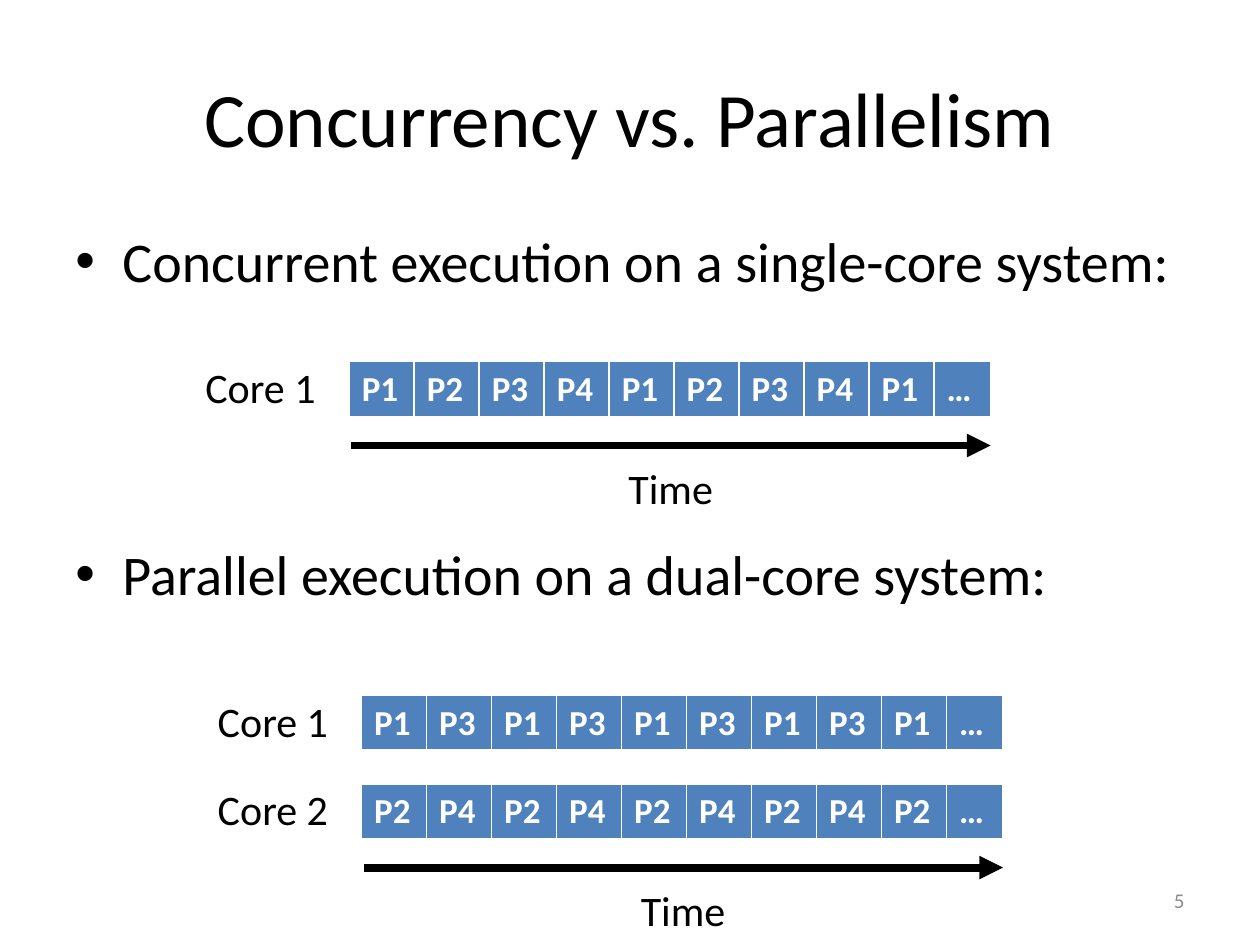
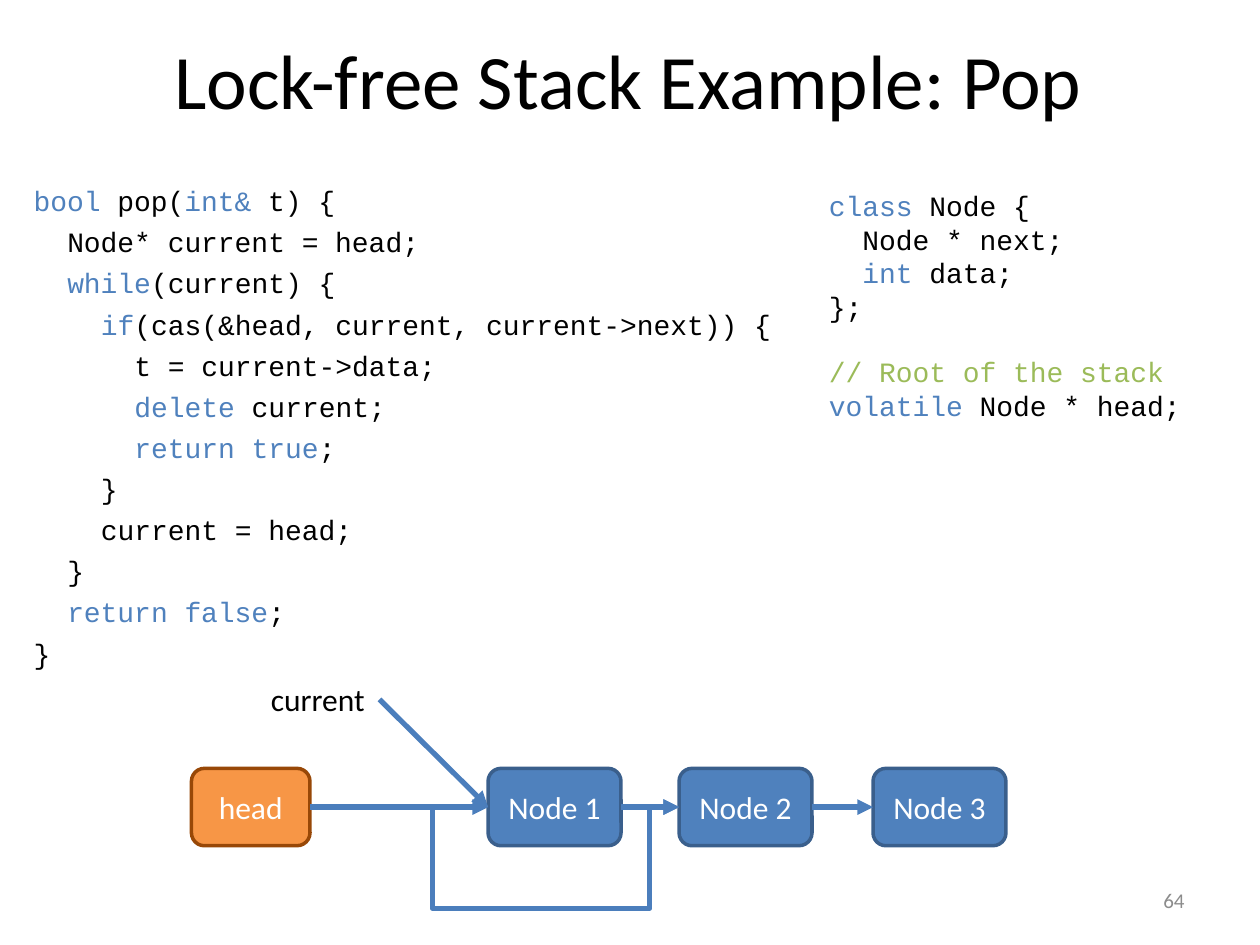
"""Build two slides on concurrency: core timelines and a lock-free stack pop."""
from dataclasses import dataclass

from lxml import etree
from pptx import Presentation
from pptx import util as u
from pptx.dml.color import RGBColor
from pptx.enum import shapes, text
from pptx.oxml.ns import qn


@dataclass(frozen=True)
class Theme:
    sans: str = "Calibri"
    mono: str = "Courier New"
    black: str = "000000"
    white: str = "FFFFFF"
    grey: str = "8C8C8C"
    blue: str = "4F81BD"
    blue_edge: str = "3A5F8C"
    blue_line: str = "4B7EBC"
    orange: str = "F79646"
    orange_edge: str = "984807"
    green: str = "9BBB59"
    title: float = 44
    bullet: float = 32
    label: float = 24
    cell: float = 20
    node: float = 18
    code: float = 16
    footer: float = 12


T = Theme()
LEFT, CENTER, RIGHT = text.PP_ALIGN.LEFT, text.PP_ALIGN.CENTER, text.PP_ALIGN.RIGHT
TOP, MIDDLE = text.MSO_ANCHOR.TOP, text.MSO_ANCHOR.MIDDLE
STRAIGHT, ELBOW = shapes.MSO_CONNECTOR.STRAIGHT, shapes.MSO_CONNECTOR.ELBOW

TIMELINE_SLIDE = dict(title="Concurrency vs. Parallelism", title_at=(1.27, 0.76), number="5")
BULLETS = [
    "Concurrent execution on a single-core system:",
    "Parallel execution on a dual-core system:",
]
TIMELINES = [
    dict(left=7.04, top=7.29, cores=[("Core 1", "P1 P2 P3 P4 P1 P2 P3 P4 P1 …")]),
    dict(left=7.29, top=14.02, cores=[("Core 1", "P1 P3 P1 P3 P1 P3 P1 P3 P1 …"),
                                      ("Core 2", "P2 P4 P2 P4 P2 P4 P2 P4 P2 …")]),
]
SLOT_WIDTH, LAST_SLOT_WIDTH, SLOT_HEIGHT, CORE_PITCH = 1.31, 1.14, 1.04, 1.78

STACK_SLIDE = dict(title="Lock-free Stack Example: Pop", title_at=(1.24, 0), number="64")
POP_CODE = """`bool` pop(`int&` t) {
  Node* current = head;
  `while`(current) {
    `if`(cas(&head, current, current->next)) {
      t = current->data;
      `delete` current;
      `return true`;
    }
    current = head;
  }
  `return false`;
}""".split("\n")
NODE_CODE = [
    "`class` Node {",
    "  Node * next;",
    "  `int `data;",
    "};",
    "// Root of the stack",
    "`volatile` Node * head;",
]
NODES = [
    ("head", 3.86, 2.39, T.orange, T.orange_edge),
    ("Node 1", 9.84, 2.68, T.blue, T.blue_edge),
    ("Node 2", 13.69, 2.68, T.blue, T.blue_edge),
    ("Node 3", 17.6, 2.68, T.blue, T.blue_edge),
]
NODE_TOP, NODE_HEIGHT = 15.49, 1.56
BYPASS_JOINT = (11.18, 18.31)


def cm(*lengths):
    return [u.Cm(length) for length in lengths]


def rgb(colour):
    return RGBColor.from_string(colour)


def write(frame, lines, size, colour=T.black, font=T.sans, bold=False, align=LEFT,
          anchor=TOP, gap=0, breaks=None, bullet=None):
    """Fill a frame; backticks mark keywords and leading spaces become indents."""
    frame.vertical_anchor = anchor
    for number, line in enumerate(lines):
        para = frame.paragraphs[0] if number == 0 else frame.add_paragraph()
        para.alignment = align
        para.space_before = u.Pt((breaks or {}).get(number, gap if number else 0))
        body = line.lstrip()
        props = para._p.get_or_add_pPr()
        if bullet:
            props.set("marL", str(u.Cm(0.95)))
            props.set("indent", str(u.Cm(-0.95)))
            etree.SubElement(props, qn("a:buFont")).set("typeface", "Arial")
            etree.SubElement(props, qn("a:buChar")).set("char", bullet)
        elif body != line:
            props.set("marL", str(u.Pt((len(line) - len(body)) * size * 0.6)))
            props.set("indent", "0")
        for part, words in enumerate(body.split("`")):
            if not words:
                continue
            run = para.add_run()
            run.text = words
            run.font.name, run.font.size, run.font.bold = font, u.Pt(size), bold
            tint = T.blue if part % 2 else T.green if body.startswith("//") else colour
            run.font.color.rgb = rgb(tint)


def add_text(slide, box, lines, wrap=True, **fmt):
    area = slide.shapes.add_textbox(*cm(*box))
    area.text_frame.word_wrap = wrap
    write(area.text_frame, lines, **fmt)
    return area


def add_link(slide, start=(0, 0), end=(0, 0), kind=STRAIGHT, colour=T.blue_line,
             width=3, arrow=True, joins=None, bend=None):
    link = slide.shapes.add_connector(kind, *cm(*start, *end))
    if joins:
        source, target = joins
        link.begin_connect(source, 3)
        link.end_connect(target, 1)
    link.line.color.rgb = rgb(colour)
    link.line.width = u.Pt(width)
    props = link._element.spPr
    if arrow:
        etree.SubElement(props.find(qn("a:ln")), qn("a:tailEnd")).set("type", "triangle")
    if bend:
        guide = etree.SubElement(props.find(qn("a:prstGeom")).find(qn("a:avLst")), qn("a:gd"))
        guide.set("name", "adj1")
        guide.set("fmla", f"val {round(bend * 100000)}")
    etree.SubElement(props, qn("a:effectLst"))


def start_slide(deck, title, title_at, number):
    slide = deck.slides.add_slide(deck.slide_layouts[5])
    heading = slide.shapes.title
    heading.left, heading.top, heading.width, heading.height = cm(*title_at, 22.86, 3.18)
    write(heading.text_frame, [title], T.title, align=CENTER, anchor=MIDDLE)
    add_text(slide, (18.2, 17.65, 5.93, 1.01), [number], size=T.footer, colour=T.grey,
             align=RIGHT, anchor=MIDDLE)
    return slide


def add_core(slide, left, top, core, slots):
    add_text(slide, (left - 3.15, top - 0.13, 2.74, 1.27), [core], wrap=False, size=T.label)
    widths = [SLOT_WIDTH] * (len(slots) - 1) + [LAST_SLOT_WIDTH]
    table = slide.shapes.add_table(1, len(slots), *cm(left, top, sum(widths), SLOT_HEIGHT)).table
    table.rows[0].height = u.Cm(SLOT_HEIGHT)
    for index, (process, width) in enumerate(zip(slots, widths)):
        table.columns[index].width = u.Cm(width)
        cell = table.cell(0, index)
        cell.fill.solid()
        cell.fill.fore_color.rgb = rgb(T.blue)
        write(cell.text_frame, [process], T.cell, colour=T.white, bold=True)


def add_timeline(slide, left, top, cores):
    for row, (core, slots) in enumerate(cores):
        add_core(slide, left, top + row * CORE_PITCH, core, slots.split())
    last = top + (len(cores) - 1) * CORE_PITCH
    add_link(slide, (left + 0.04, last + 1.69), (left + 12.93, last + 1.69),
             colour=T.black, width=4.5)
    add_text(slide, (left + 5.36, last + 1.91, 2.24, 1.27), ["Time"], wrap=False,
             size=T.label, align=CENTER)


def add_node(slide, name, left, width, fill, edge):
    node = slide.shapes.add_shape(shapes.MSO_SHAPE.ROUNDED_RECTANGLE,
                                  *cm(left, NODE_TOP, width, NODE_HEIGHT))
    node.shadow.inherit = False
    node.fill.solid()
    node.fill.fore_color.rgb = rgb(fill)
    node.line.color.rgb = rgb(edge)
    node.line.width = u.Pt(2)
    write(node.text_frame, [name], T.node, colour=T.white, align=CENTER, anchor=MIDDLE)
    return node


def build_timelines(deck):
    slide = start_slide(deck, **TIMELINE_SLIDE)
    add_text(slide, (1.27, 4.45, 22.86, 12.57), BULLETS, size=T.bullet, gap=140.4, bullet="•")
    for timeline in TIMELINES:
        add_timeline(slide, **timeline)


def build_stack(deck):
    slide = start_slide(deck, **STACK_SLIDE)
    add_text(slide, (0.43, 3.58, 18.31, 9.93), POP_CODE, size=T.code, font=T.mono, gap=4.3)
    add_text(slide, (16.46, 3.68, 8.38, 5.05), NODE_CODE, size=T.code, font=T.mono,
             breaks={4: 18.1})
    nodes = [add_node(slide, *node) for node in NODES]
    for pair in zip(nodes, nodes[1:]):
        add_link(slide, joins=pair)
    current = add_text(slide, (5.21, 13.59, 2.44, 1.02), ["current"], wrap=False, size=T.node)
    add_link(slide, joins=(current, nodes[1]))
    axis = NODE_TOP + NODE_HEIGHT / 2
    head_right = NODES[0][1] + NODES[0][2]
    add_link(slide, (head_right, axis), BYPASS_JOINT, kind=ELBOW, arrow=False)
    add_link(slide, BYPASS_JOINT, (NODES[2][1], axis), kind=ELBOW, bend=0.765)


def main():
    deck = Presentation()
    deck.slide_width, deck.slide_height = cm(25.4, 19.05)
    build_timelines(deck)
    build_stack(deck)
    deck.save("out.pptx")


if __name__ == "__main__":
    main()
